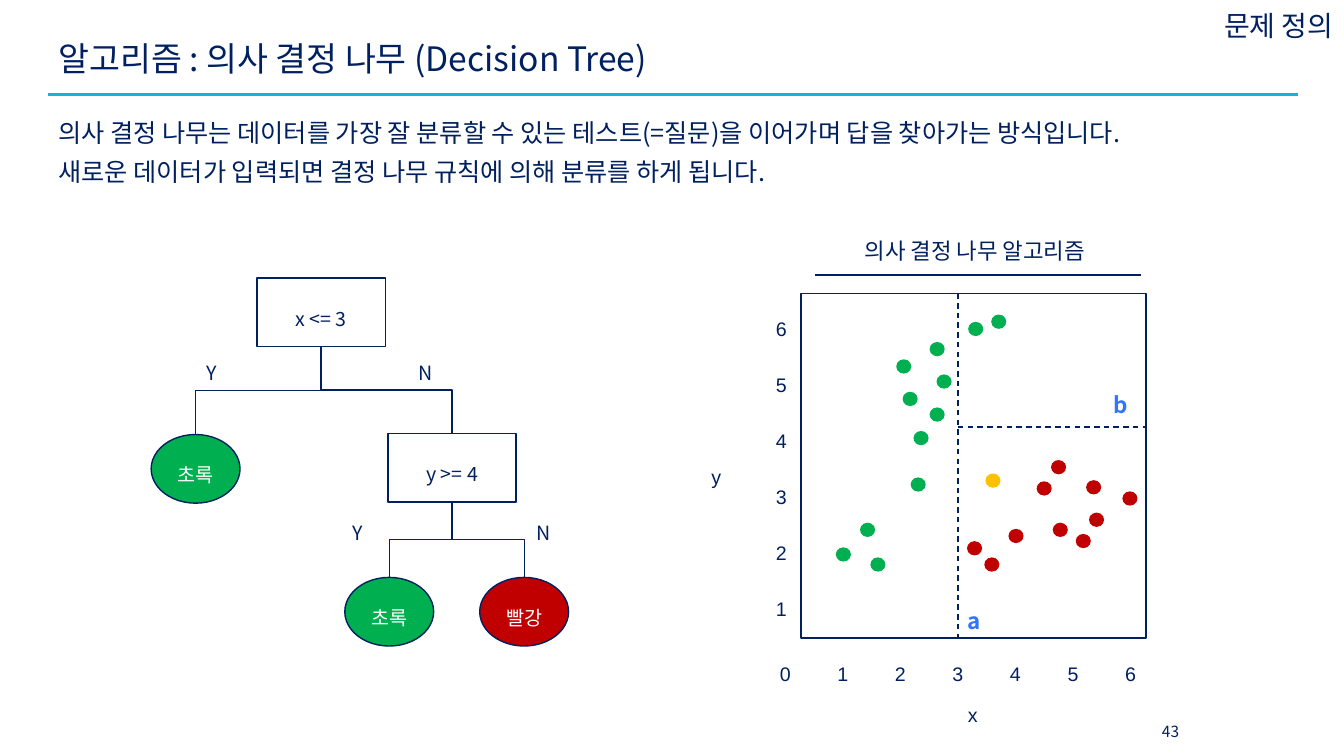
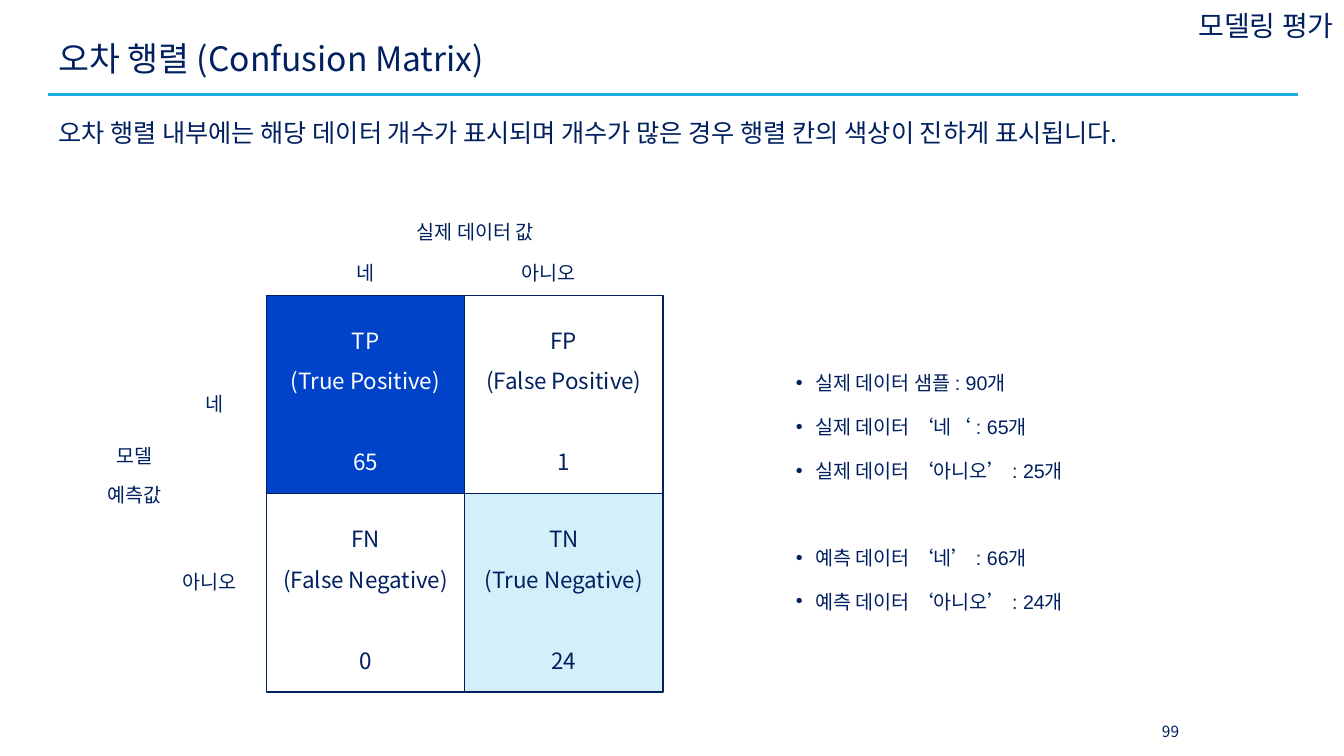
from dataclasses import dataclass
from typing import NamedTuple

from lxml.etree import SubElement
from pptx import Presentation
from pptx.dml.color import RGBColor
from pptx.enum.dml import MSO_LINE
from pptx.enum.shapes import MSO_CONNECTOR, MSO_SHAPE
from pptx.enum.text import MSO_ANCHOR, PP_ALIGN
from pptx.oxml.ns import qn
from pptx.util import Cm, Pt


class Box(NamedTuple):
    """A region in centimetres."""
    left: float
    top: float
    width: float
    height: float

    def inner(self, left, top, width, height):
        return Box(self.left + left, self.top + top, width, height)

    def lengths(self):
        return [Cm(value) for value in self]


@dataclass(frozen=True)
class Theme:
    navy: str = "002060"
    rule: str = "1CADE4"
    accent: str = "3075FF"
    white: str = "FFFFFF"
    green: str = "00B050"
    red: str = "C00000"
    yellow: str = "FFC000"
    deep_blue: str = "0042C8"
    pale_blue: str = "D2EFFA"
    korean: str = "Noto Sans CJK KR"
    latin: str = "Arial"
    title: int = 24
    section: int = 20
    body: int = 18
    heading: int = 16
    label: int = 14
    page: int = 11


THEME = Theme()
PLAIN_INSETS = (0.25, 0.13, 0.25, 0.13)
LABEL_INSETS = (0.25, 0.3, 0.25, 0.13)


def write(shape, lines, size, color=THEME.navy, font=THEME.korean, align=PP_ALIGN.LEFT,
          anchor=MSO_ANCHOR.MIDDLE, spacing=1.0, gaps=(), bold=False, bullet=False,
          insets=PLAIN_INSETS):
    """Fill a shape with paragraphs; gaps holds the points before each later one."""
    frame = shape.text_frame
    frame.word_wrap = True
    frame.vertical_anchor = anchor
    (frame.margin_left, frame.margin_top,
     frame.margin_right, frame.margin_bottom) = [Cm(inset) for inset in insets]
    for index, line in enumerate(lines):
        paragraph = frame.add_paragraph() if index else frame.paragraphs[0]
        paragraph.text = line
        paragraph.alignment = align
        paragraph.line_spacing = spacing
        if index and gaps:
            paragraph.space_before = Pt(gaps[index - 1])
        properties = paragraph._p.get_or_add_pPr()
        if bullet:
            properties.set("marL", str(Cm(0.48)))
            properties.set("indent", str(-Cm(0.48)))
            SubElement(properties, qn("a:buFont")).set("typeface", THEME.latin)
            SubElement(properties, qn("a:buChar")).set("char", "•")
        paragraph.font.size = Pt(size)
        paragraph.font.bold = bold
        paragraph.font.color.rgb = RGBColor.from_string(color)
        paragraph.font.name = font
        east_asian = SubElement(properties.find(qn("a:defRPr")), qn("a:ea"))
        east_asian.set("typeface", THEME.korean)


def add_text(slide, box, lines, size, **style):
    write(slide.shapes.add_textbox(*box.lengths()), lines, size, **style)


def add_label(slide, box, *lines, size=THEME.label, **style):
    add_text(slide, box, lines, size, anchor=MSO_ANCHOR.TOP, spacing=1.5,
             insets=LABEL_INSETS, **style)


def add_block(slide, kind, box, fill=None, outlined=True):
    shape = slide.shapes.add_shape(kind, *box.lengths())
    shape.shadow.inherit = False
    if fill:
        shape.fill.solid()
        shape.fill.fore_color.rgb = RGBColor.from_string(fill)
    else:
        shape.fill.background()
    if outlined:
        shape.line.color.rgb = RGBColor.from_string(THEME.navy)
        shape.line.width = Pt(1)
    else:
        shape.line.fill.background()
    return shape


def style_connector(connector, color=THEME.navy, width=1, dashed=False):
    connector.line.color.rgb = RGBColor.from_string(color)
    connector.line.width = Pt(width)
    if dashed:
        connector.line.dash_style = MSO_LINE.DASH
    SubElement(connector._element.spPr, qn("a:effectLst"))


def add_line(slide, start, end, **style):
    ends = [Cm(value) for value in (*start, *end)]
    style_connector(slide.shapes.add_connector(MSO_CONNECTOR.STRAIGHT, *ends), **style)


def add_branch(slide, parent, child):
    """Join bottom of parent to top of child: down, across, down."""
    start_x, start_y = parent.left + parent.width // 2, parent.top + parent.height
    end_x, end_y = child.left + child.width // 2, child.top
    connector = slide.shapes.add_connector(MSO_CONNECTOR.ELBOW, start_x, start_y, end_x, end_y)
    connector.begin_connect(parent, 2)
    connector.end_connect(child, 0)
    drop, across = end_y - start_y, abs(end_x - start_x)
    connector.left = (start_x + end_x - drop) // 2
    connector.top = (start_y + end_y - across) // 2
    connector.width, connector.height = drop, across
    to_right = end_x > start_x
    transform = connector._element.spPr.find(qn("a:xfrm"))
    transform.set("rot", "16200000" if to_right else "5400000")
    transform.set("flipH", "1" if to_right else "0")
    transform.set("flipV", "0")
    style_connector(connector)


def add_framed_slide(presentation, section, title, body, page):
    """Add a slide with the shared section name, title, rule, body and page number."""
    slide = presentation.slides.add_slide(presentation.slide_layouts[6])
    add_line(slide, (1.22, 2.39), (32.72, 2.39), color=THEME.rule, width=2.25)
    add_text(slide, Box(1.22, 0.74, 31.5, 1.6), [title], THEME.title, spacing=0.9)
    add_text(slide, Box(1.22, 2.59, 31.5, 3.2), [body], THEME.body, spacing=1.3,
             anchor=MSO_ANCHOR.TOP)
    add_text(slide, Box(28.7, 17.93, 1.6, 1.02), [page], THEME.page, align=PP_ALIGN.CENTER)
    add_text(slide, Box(23.52, 0.1, 10.34, 1.09), [section], THEME.section,
             align=PP_ALIGN.RIGHT)
    return slide


def add_decision_tree(slide, box):
    def node(kind, left, top, width, text, fill=None):
        shape = add_block(slide, kind, box.inner(left, top, width, 1.73), fill)
        write(shape, [text], THEME.label, color=THEME.white if fill else THEME.navy,
              align=PP_ALIGN.CENTER, spacing=1.5)
        return shape

    def question(left, top, text):
        return node(MSO_SHAPE.RECTANGLE, left, top, 3.23, text)

    def leaf(left, top, text, fill):
        return node(MSO_SHAPE.OVAL, left, top, 2.24, text, fill)

    root = question(2.67, 0, "x <= 3")
    second = question(5.97, 3.91, "y >= 4")
    branches = [
        (root, leaf(0, 3.94, "초록", THEME.green)),
        (root, second),
        (second, leaf(4.88, 7.54, "초록", THEME.green)),
        (second, leaf(8.28, 7.54, "빨강", THEME.red)),
    ]
    for parent, child in branches:
        add_branch(slide, parent, child)
    for left, top, answer in [(1.14, 1.5, "Y"), (6.5, 1.5, "N"),
                              (4.83, 5.51, "Y"), (9.47, 5.51, "N")]:
        add_label(slide, box.inner(left, top, 1.5, 1.22), answer)


def add_scatter(slide, box):
    """Draw points and split lines on a 0 to 6 scale inside the box."""
    right, bottom = box.left + box.width, box.top + box.height

    def position(x, y):
        return box.left - 0.4 + 1.45 * x, bottom + 0.67 - 1.41 * y

    points = {
        THEME.green: [(1.01, 1.97), (1.43, 2.41), (1.61, 1.79), (2.31, 3.22),
                      (2.36, 4.05), (2.64, 4.47), (2.17, 4.75), (2.76, 5.06),
                      (2.06, 5.33), (2.64, 5.64), (3.31, 6), (3.71, 6.13)],
        THEME.red: [(3.29, 2.08), (3.59, 1.79), (4.01, 2.3), (4.78, 2.41),
                    (5.18, 2.21), (5.41, 2.59), (5.36, 3.17), (5.99, 2.97),
                    (4.5, 3.15), (4.75, 3.53)],
        THEME.yellow: [(3.61, 3.29)],
    }
    split_x, split_y = position(3, 4.25)

    add_text(slide, box.inner(0.86, -1.63, 7.04, 1.09), ["의사 결정 나무 알고리즘"],
             THEME.heading, align=PP_ALIGN.CENTER)
    add_line(slide, (box.left + 0.36, box.top - 0.46), (right - 0.13, box.top - 0.46))
    add_block(slide, MSO_SHAPE.RECTANGLE, box)
    add_line(slide, (split_x, box.top), (split_x, bottom), dashed=True)
    add_line(slide, (split_x, split_y), (right, split_y), dashed=True)
    for color, places in points.items():
        for place in places:
            x, y = position(*place)
            add_block(slide, MSO_SHAPE.OVAL, Box(x - 0.19, y - 0.18, 0.38, 0.36),
                      color, outlined=False)

    tick_style = {"font": THEME.latin, "align": PP_ALIGN.CENTER}
    for value in range(7):
        x, y = position(value, value)
        add_label(slide, Box(x - 0.51, bottom, 1.02, 1.04), str(value), **tick_style)
        if value:
            add_label(slide, Box(box.left - 1.01, y - 0.89, 1.02, 1.04), str(value),
                      **tick_style)
    add_label(slide, Box(split_x, bottom + 1.04, 2.06, 1.22), "x", font=THEME.latin)
    add_label(slide, box.inner(-2.51, 3.73, 2.06, 1.22), "y", font=THEME.latin)
    split_style = {"size": THEME.heading, "color": THEME.accent, "bold": True}
    add_label(slide, Box(split_x, bottom - 1.42, 1.04, 1.32), "a", **split_style)
    add_label(slide, Box(right - 1.07, split_y - 1.55, 1.04, 1.19), "b", **split_style)


def add_confusion_matrix(slide, box):
    cell_width, cell_height = box.width / 2, box.height / 2
    cells = [
        [("TP", "(True Positive)", "65", THEME.deep_blue, THEME.white),
         ("FP", "(False Positive)", "1", THEME.white, THEME.navy)],
        [("FN", "(False Negative)", "0", THEME.white, THEME.navy),
         ("TN", "(True Negative)", "24", THEME.pale_blue, THEME.navy)],
    ]
    for row, row_cells in enumerate(cells):
        for column, (code, name, count, fill, color) in enumerate(row_cells):
            cell = box.inner(column * cell_width, row * cell_height, cell_width, cell_height)
            write(add_block(slide, MSO_SHAPE.RECTANGLE, cell, fill), [code, name, count],
                  THEME.heading, color=color, align=PP_ALIGN.CENTER, spacing=1.5,
                  gaps=(0, 29))

    captions = [
        (2.99, -2.49, 4.57, ["실제 데이터 값"]),
        (0.83, -1.47, 3.35, ["네"]),
        (5.45, -1.47, 3.35, ["아니오"]),
        (-2.98, 1.83, 3.35, ["네"]),
        (-3.1, 6.33, 3.35, ["아니오"]),
        (-4.4, 3.15, 2.16, ["모델", "예측값"]),
    ]
    for left, top, width, lines in captions:
        add_label(slide, box.inner(left, top, width, 1.22 * len(lines)), *lines,
                  font=THEME.latin, align=PP_ALIGN.CENTER, gaps=(3,))


def add_counts(slide, box):
    add_label(slide, box, "실제 데이터 샘플 : 90개", "실제 데이터 ‘네‘ : 65개",
              "실제 데이터 ‘아니오’ : 25개", "예측 데이터 ‘네’ : 66개",
              "예측 데이터 ‘아니오’ : 24개", font=THEME.latin, bullet=True,
              gaps=(6, 6, 37, 6))


def main():
    presentation = Presentation()
    presentation.slide_width, presentation.slide_height = Cm(33.87), Cm(19.05)

    slide = add_framed_slide(
        presentation, "문제 정의", "알고리즘 : 의사 결정 나무 (Decision Tree)",
        "의사 결정 나무는 데이터를 가장 잘 분류할 수 있는 테스트(=질문)을 이어가며 답을 찾아가는 방식입니다.\v"
        "새로운 데이터가 입력되면 결정 나무 규칙에 의해 분류를 하게 됩니다.", "43")
    add_decision_tree(slide, Box(3.81, 7.01, 10.52, 9.27))
    add_scatter(slide, Box(20.19, 7.39, 8.69, 8.69))

    slide = add_framed_slide(
        presentation, "모델링 평가", "오차 행렬 (Confusion Matrix)",
        "오차 행렬 내부에는 해당 데이터 개수가 표시되며 개수가 많은 경우 행렬 칸의 색상이 진하게 표시됩니다.",
        "99")
    add_confusion_matrix(slide, Box(6.71, 7.44, 10, 10))
    add_counts(slide, Box(19.81, 8.76, 10, 6.78))

    presentation.save("out.pptx")


if __name__ == "__main__":
    main()
